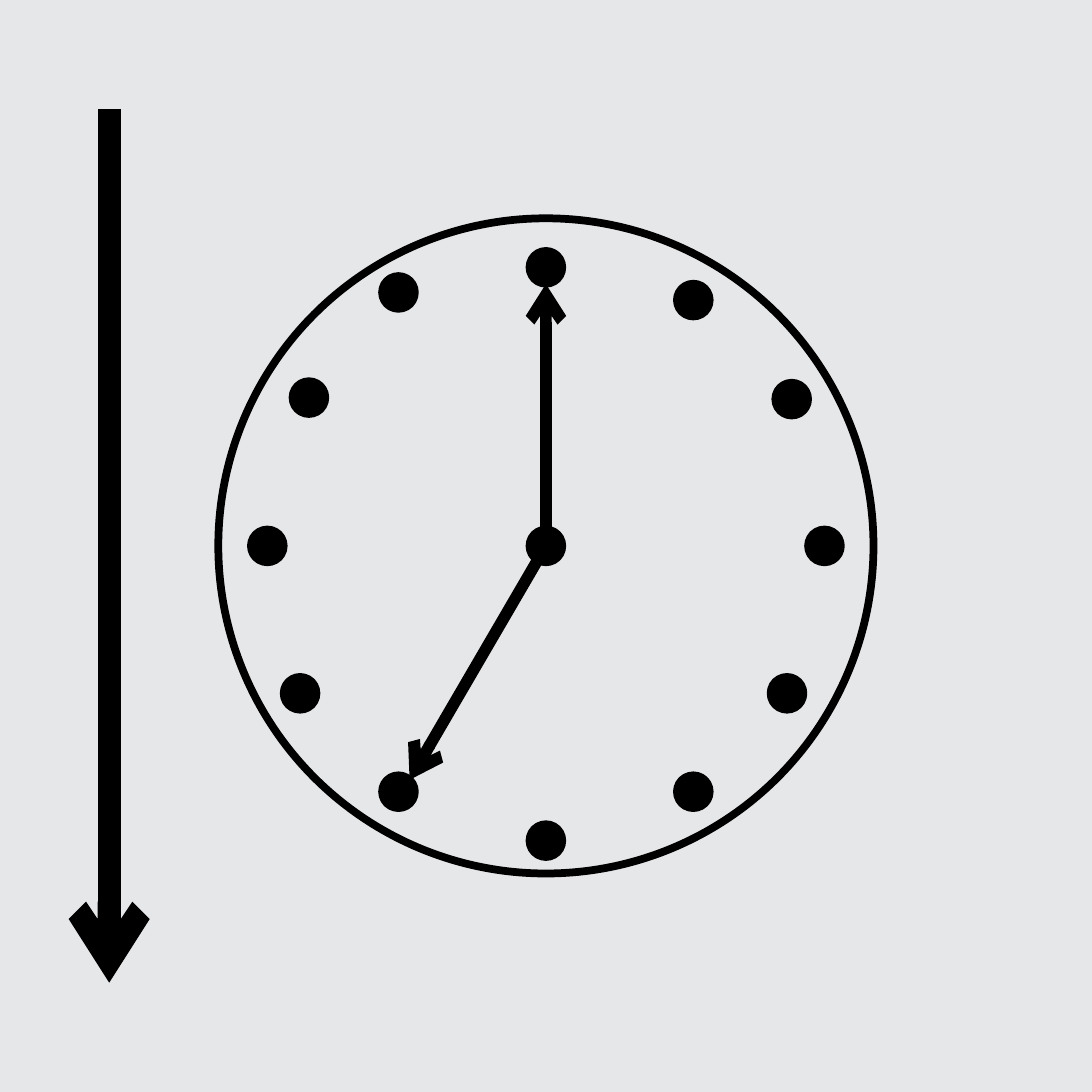
"""Draw a clock at seven o'clock beside a long downward arrow."""
from typing import NamedTuple

from lxml import etree
from pptx import Presentation
from pptx.dml.color import RGBColor
from pptx.enum.shapes import MSO_CONNECTOR, MSO_SHAPE
from pptx.oxml.ns import qn
from pptx.shapes.shapetree import GroupShapes, SlideShapes
from pptx.util import Pt

BLACK = RGBColor(0x00, 0x00, 0x00)
PALE_GREY = RGBColor(0xE5, 0xE7, 0xE9)

SIDE = 283.46
CENTRE = SIDE / 2
FACE_RADIUS = 85.04
DOT_RADIUS = 4.25
OUTLINE = 2
MARGIN = 28.35


class Point(NamedTuple):
    x: float
    y: float

    def from_centre(self) -> "Point":
        return Point(CENTRE + self.x, CENTRE + self.y)


class Arrow(NamedTuple):
    start: Point
    tip: Point
    width: float


HUB = Point(0, 0)
HOUR_OFFSETS = [
    Point(0, -72.3), Point(38.27, -63.8), Point(63.8, -38.1),
    Point(72.3, 0), Point(62.6, 38.27), Point(38.27, 63.8),
    Point(0, 76.5), Point(-38.27, 63.8), Point(-63.8, 38.27),
    Point(-72.3, 0), Point(-61.5, -38.5), Point(-38.27, -65.8),
]
HANDS = [
    Arrow(HUB.from_centre(), Point(0, -68).from_centre(), 3),
    Arrow(HUB.from_centre(), Point(-35.4, 60.7).from_centre(), 3),
]
TIME_ARROW = Arrow(Point(MARGIN, MARGIN), Point(MARGIN, SIDE - MARGIN), 6)


def draw_circle(shapes: GroupShapes, offset: Point, radius: float, filled: bool) -> None:
    middle = offset.from_centre()
    circle = shapes.add_shape(
        MSO_SHAPE.OVAL, Pt(middle.x - radius), Pt(middle.y - radius),
        Pt(2 * radius), Pt(2 * radius))
    circle.shadow.inherit = False
    circle.line.color.rgb = BLACK
    circle.line.width = Pt(OUTLINE)
    if filled:
        circle.fill.solid()
        circle.fill.fore_color.rgb = BLACK
    else:
        circle.fill.background()


def draw_arrow(shapes: GroupShapes | SlideShapes, arrow: Arrow) -> None:
    connector = shapes.add_connector(
        MSO_CONNECTOR.STRAIGHT, Pt(arrow.start.x), Pt(arrow.start.y),
        Pt(arrow.tip.x), Pt(arrow.tip.y))
    connector.line.color.rgb = BLACK
    connector.line.width = Pt(arrow.width)
    properties = connector.element.spPr
    etree.SubElement(properties.find(qn("a:ln")), qn("a:tailEnd"), type="arrow")
    etree.SubElement(properties, qn("a:effectLst"))


def draw_clock(shapes: GroupShapes) -> None:
    draw_circle(shapes, HUB, FACE_RADIUS, filled=False)
    for offset in HOUR_OFFSETS:
        draw_circle(shapes, offset, DOT_RADIUS, filled=True)
    for hand in HANDS:
        draw_arrow(shapes, hand)
    draw_circle(shapes, HUB, DOT_RADIUS, filled=True)


presentation = Presentation()
presentation.slide_width = presentation.slide_height = Pt(SIDE)
slide = presentation.slides.add_slide(presentation.slide_layouts[6])
slide.background.fill.solid()
slide.background.fill.fore_color.rgb = PALE_GREY
draw_clock(slide.shapes.add_group_shape().shapes)
draw_arrow(slide.shapes, TIME_ARROW)
presentation.save("out.pptx")
